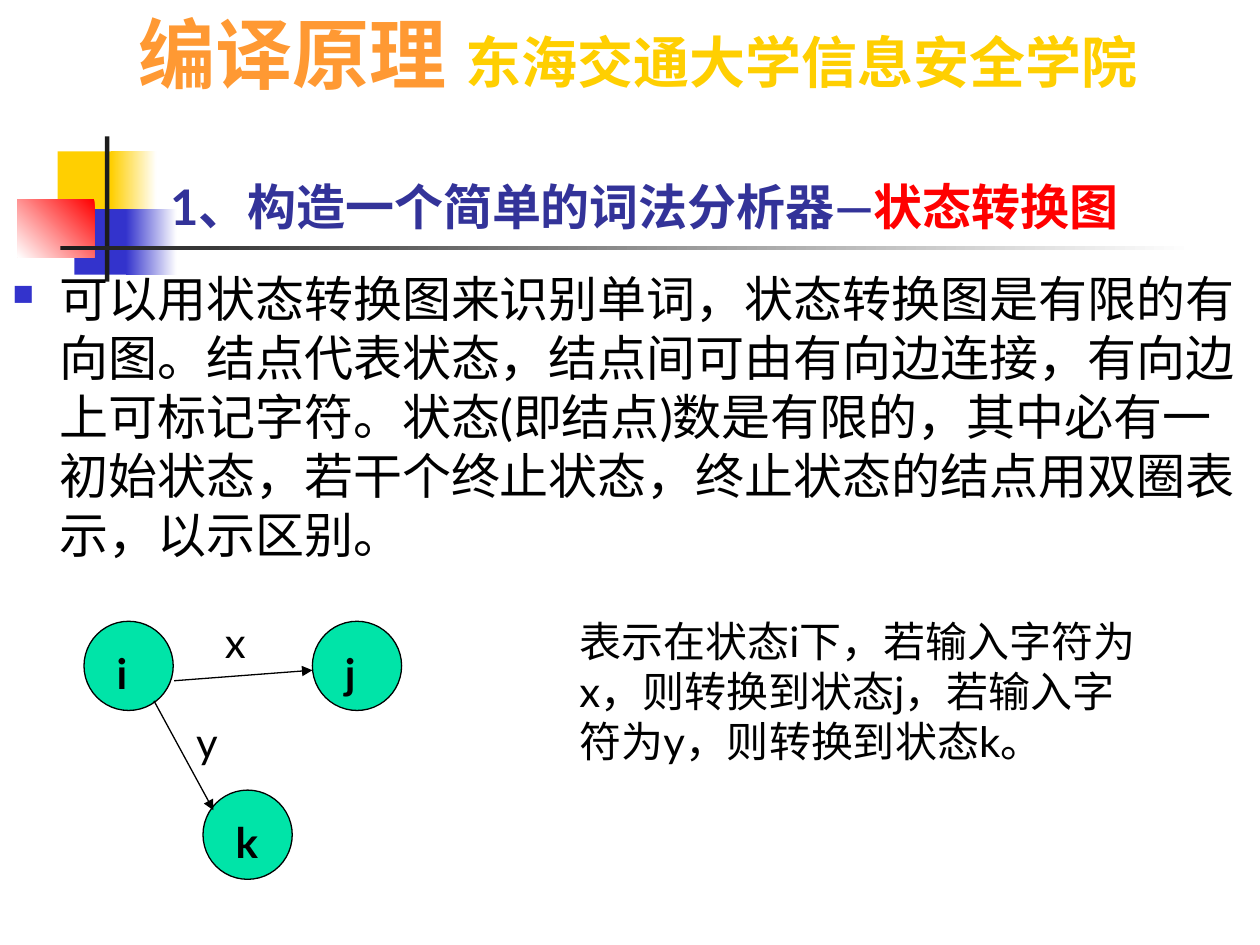
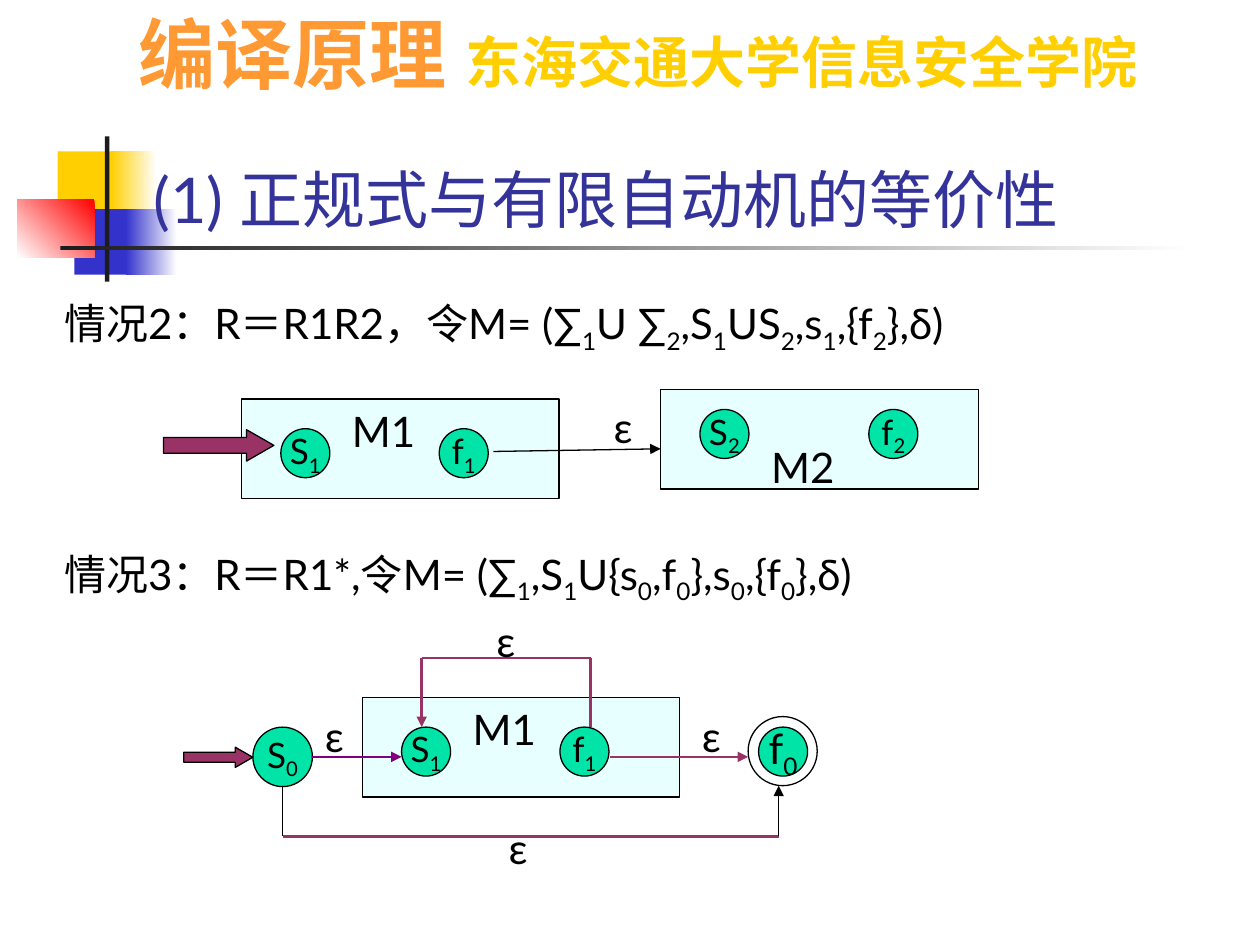
from dataclasses import dataclass
from typing import NamedTuple, Optional

from lxml.etree import SubElement
from pptx import Presentation
from pptx.dml.color import RGBColor
from pptx.enum.shapes import MSO_CONNECTOR, MSO_SHAPE
from pptx.enum.text import MSO_ANCHOR, MSO_AUTO_SIZE, PP_ALIGN
from pptx.oxml.ns import qn
from pptx.util import Pt

FONT = "Lato"
BLACK = RGBColor(0x00, 0x00, 0x00)
WHITE = RGBColor(0xFF, 0xFF, 0xFF)
YELLOW = RGBColor(0xFF, 0xCF, 0x01)
BLUE = RGBColor(0x33, 0x33, 0xCC)
RED = RGBColor(0xFF, 0x00, 0x00)
CHARCOAL = RGBColor(0x1C, 0x1C, 0x1C)
ORANGE = RGBColor(0xFF, 0x99, 0x33)
INDIGO = RGBColor(0x33, 0x33, 0x99)
GREEN = RGBColor(0x00, 0xE4, 0xA8)
PALE_CYAN = RGBColor(0xCC, 0xFF, 0xFF)
PLUM = RGBColor(0x99, 0x33, 0x66)
PURPLE = RGBColor(0x80, 0x00, 0x80)


class Box(NamedTuple):
    left: float
    top: float
    width: float
    height: float


class Band(NamedTuple):
    box: Box
    color: RGBColor
    fade_angle: Optional[int] = None


class Edge(NamedTuple):
    start: tuple[float, float]
    end: tuple[float, float]
    color: RGBColor = BLACK
    width: float = 0.75
    arrow: bool = True


@dataclass(frozen=True)
class Machine:
    left: float
    top: float
    number: int
    state_drop: float = 17
    final_shift: float = 113
    label_drop: float = 0


BANDS = (
    Band(Box(33, 86.5, 34.5, 37.5), YELLOW),
    Band(Box(63.5, 86.5, 26, 37.5), YELLOW, 0),
    Band(Box(42.5, 119.5, 33, 37.5), BLUE),
    Band(Box(72, 119.5, 29, 37.5), BLUE, 0),
    Band(Box(10, 114, 44, 33), RED, 225),
    Band(Box(60, 78, 2.5, 83), CHARCOAL),
    Band(Box(34.5, 140.5, 648, 2.5), CHARCOAL, 0),
)


def place(box: Box) -> list[Pt]:
    return [Pt(length) for length in box]


def write(paragraph, text: str, *, size: float = 24, color: RGBColor = BLACK,
          bold: bool = False, align: PP_ALIGN = PP_ALIGN.LEFT) -> None:
    """Add text to a paragraph; the character after each underscore is a subscript."""
    paragraph.alignment = align
    first, *rest = text.split("_")
    pieces = [(first, False)]
    for part in rest:
        pieces += [(part[0], True), (part[1:], False)]
    for piece, lowered in pieces:
        if not piece:
            continue
        run = paragraph.add_run()
        run.text = piece
        run.font.size, run.font.bold, run.font.name = Pt(size), bold, FONT
        run.font.color.rgb = color
        properties = run._r.get_or_add_rPr()
        SubElement(properties, qn("a:ea")).set("typeface", FONT)
        if lowered:
            properties.set("baseline", "-25000")


def add_text(slide, box: Box, text: str, **style):
    label = slide.shapes.add_textbox(*place(box))
    label.text_frame.word_wrap = True
    write(label.text_frame.paragraphs[0], text, **style)
    return label


def add_figure(slide, kind: MSO_SHAPE, box: Box, fill: Optional[RGBColor] = None,
               outlined: bool = True):
    figure = slide.shapes.add_shape(kind, *place(box))
    figure.shadow.inherit = False
    if fill is None:
        figure.fill.background()
    else:
        figure.fill.solid()
        figure.fill.fore_color.rgb = fill
    if outlined:
        figure.line.color.rgb = BLACK
        figure.line.width = Pt(0.75)
    else:
        figure.line.fill.background()
    return figure


def add_band(slide, band: Band) -> None:
    figure = add_figure(slide, MSO_SHAPE.RECTANGLE, band.box, band.color, outlined=False)
    if band.fade_angle is not None:
        figure.fill.gradient()
        figure.fill.gradient_angle = band.fade_angle
        for stop, color in zip(figure.fill.gradient_stops, (band.color, WHITE)):
            stop.color.rgb = color


def add_state(slide, left: float, top: float, diameter: float,
              name: str = "", size: float = 20) -> None:
    circle = add_figure(slide, MSO_SHAPE.OVAL, Box(left, top, diameter, diameter), GREEN)
    if name:
        frame = circle.text_frame
        frame.word_wrap = False
        frame.vertical_anchor = MSO_ANCHOR.MIDDLE
        write(frame.paragraphs[0], name, size=size, align=PP_ALIGN.CENTER)


def add_edge(slide, edge: Edge) -> None:
    ends = [Pt(length) for length in (*edge.start, *edge.end)]
    link = slide.shapes.add_connector(MSO_CONNECTOR.STRAIGHT, *ends)
    link.line.color.rgb = edge.color
    link.line.width = Pt(edge.width)
    if edge.arrow:
        SubElement(link.line._get_or_add_ln(), qn("a:tailEnd")).set("type", "triangle")
    SubElement(link._element.spPr, qn("a:effectLst"))


def add_entry_arrow(slide, box: Box) -> None:
    arrow = add_figure(slide, MSO_SHAPE.RIGHT_ARROW, box, PLUM)
    arrow.adjustments[1] = 0.87


def add_machine(slide, machine: Machine) -> None:
    left, top, number = machine.left, machine.top, machine.number
    frame = add_figure(slide, MSO_SHAPE.RECTANGLE, Box(left, top, 181.5, 57), PALE_CYAN)
    tint = frame.fill._xPr.find(qn("a:solidFill"))[0]
    SubElement(tint, qn("a:alpha")).set("val", "47000")
    for shift, letter in ((22.5, "S"), (machine.final_shift, "f")):
        add_state(slide, left + shift, top + machine.state_drop, 28, f"{letter}_{number}")
    add_text(slide, Box(left + 56, top + machine.label_drop, 51, 36), f"M{number}")


def start_slide(deck, title_box: Box, *title_runs: tuple[str, RGBColor],
                size: float, bold: bool):
    slide = deck.slides.add_slide(deck.slide_layouts[5])
    for band in BANDS:
        add_band(slide, band)
    header = add_text(slide, Box(72, 0, 648, 60.5), "编译原理 ",
                      size=44, color=ORANGE, bold=True)
    write(header.text_frame.paragraphs[0], "东海交通大学信息安全学院",
          size=32, color=YELLOW, bold=True)
    title = slide.shapes.title
    slide.shapes._spTree.append(title._element)
    title.left, title.top, title.width, title.height = place(title_box)
    title.text_frame.word_wrap = True
    title.text_frame.auto_size = MSO_AUTO_SIZE.NONE
    title.text_frame.vertical_anchor = MSO_ANCHOR.BOTTOM
    for text, color in title_runs:
        write(title.text_frame.paragraphs[0], text, size=size, color=color, bold=bold)
    return slide


def indent(paragraph, margin: float, first_line: float):
    properties = paragraph._p.get_or_add_pPr()
    properties.set("marL", str(Pt(margin)))
    properties.set("indent", str(Pt(first_line)))
    return properties


def add_square_bullet(paragraph) -> None:
    properties = indent(paragraph, 27, -27)
    color = SubElement(properties, qn("a:buClr"))
    SubElement(color, qn("a:srgbClr")).set("val", str(BLUE))
    SubElement(properties, qn("a:buSzPct")).set("val", "60000")
    SubElement(properties, qn("a:buChar")).set("char", "■")


def build_transition_diagram(deck) -> None:
    slide = start_slide(deck, Box(90, 48, 613.5, 90),
                        ("1、构造一个简单的词法分析器—", INDIGO), ("状态转换图", RED),
                        size=28, bold=True)
    definition = add_text(
        slide, Box(0, 150, 720, 177),
        "可以用状态转换图来识别单词，状态转换图是有限的有向图。结点代表状态，"
        "结点间可由有向边连接，有向边上可标记字符。状态(即结点)数是有限的，"
        "其中必有一初始状态，若干个终止状态，终止状态的结点用双圈表示，以示区别。",
        size=28)
    add_square_bullet(definition.text_frame.paragraphs[0])
    add_text(slide, Box(324, 348, 342, 94),
             "表示在状态i下，若输入字符为x，则转换到状态j，若输入字符为y，则转换到状态k。")
    for name, left, top in (("i", 48, 355), ("j", 178.5, 355), ("k", 116, 451.5)):
        add_state(slide, left, top, 51)
        add_text(slide, Box(left + 11.5, top + 11.5, 34, 36), name, bold=True)
    for edge in (Edge((99.5, 389), (178.5, 383)), Edge((88, 400.5), (122, 463))):
        add_edge(slide, edge)
    for symbol, left, top in (("x", 121.5, 349), ("y", 105, 406)):
        add_text(slide, Box(left, top, 28, 36), symbol)


def build_equivalence(deck) -> None:
    slide = start_slide(deck, Box(80.5, 88, 543, 50.5),
                        ("(1) 正规式与有限自动机的等价性", INDIGO), size=36, bold=False)
    cases = add_text(slide, Box(19.5, 166.5, 685.5, 198.5),
                     "情况2：R＝R1R2，令M= (∑_1U ∑_2,S_1US_2,s_1,{f_2},δ)")
    cases.fill.solid()
    cases.fill.fore_color.rgb = WHITE
    closure = cases.text_frame.add_paragraph()
    write(closure, "情况3：R＝R1*,令M= (∑_1,S_1U{s_0,f_0},s_0,{f_0},δ)")
    closure.space_before = Pt(110.4)
    for paragraph in cases.text_frame.paragraphs:
        indent(paragraph, 10, 0)

    for machine in (
        Machine(138, 228, 1),
        Machine(377.5, 222.5, 2, state_drop=11.5, final_shift=119, label_drop=26.5),
        Machine(207, 398.5, 1),
    ):
        add_machine(slide, machine)
    for box in (Box(93.5, 245.5, 63, 18), Box(105, 427, 39.5, 11.5)):
        add_entry_arrow(slide, box)
    add_state(slide, 144.5, 415.5, 34, "S_0")
    add_figure(slide, MSO_SHAPE.OVAL, Box(427.5, 409.5, 39.5, 39.5))
    add_state(slide, 433.5, 415.5, 28, "f_0", size=24)

    for edge in (
        Edge((282, 258), (377.5, 256.5)),
        Edge((178.5, 432.5), (229.5, 432.5), PURPLE, 1.5),
        Edge((348.5, 432.5), (427.5, 432.5), PLUM, 1.5),
        Edge((161.5, 478), (445, 478), PLUM, 1.5, arrow=False),
        Edge((161.5, 449), (161.5, 478), arrow=False),
        Edge((445, 478), (445, 449)),
        Edge((241, 376), (241, 415.5), PLUM, 1.5),
        Edge((241, 376), (337.5, 376), PLUM, 1.5, arrow=False),
        Edge((337.5, 376), (337.5, 415.5), PLUM, 1.5, arrow=False),
    ):
        add_edge(slide, edge)
    for left, top in ((343.5, 226), (394, 402.5), (178.5, 402.5), (283.5, 466.5), (276.5, 348)):
        add_text(slide, Box(left, top, 26, 36), "ε")


def main() -> None:
    deck = Presentation()
    deck.slide_width, deck.slide_height = Pt(720), Pt(540)
    build_transition_diagram(deck)
    build_equivalence(deck)
    deck.save("out.pptx")


if __name__ == "__main__":
    main()
